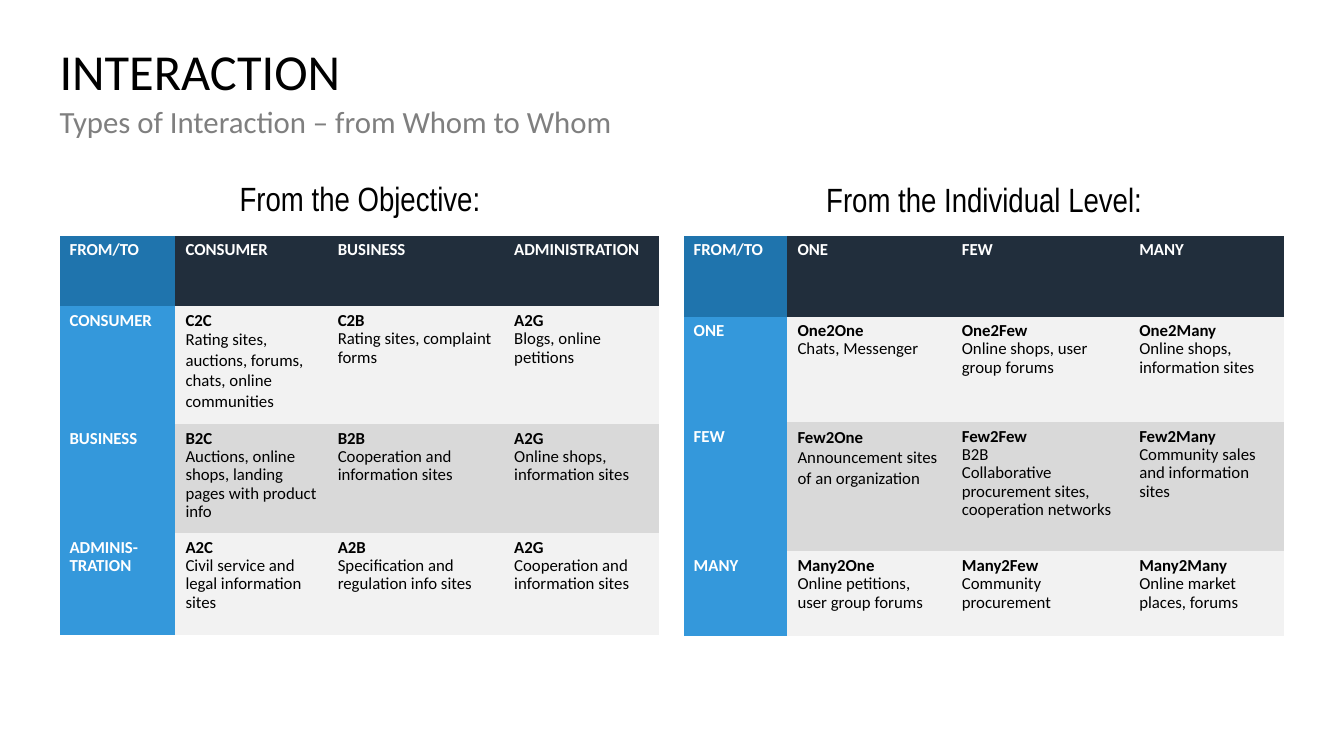
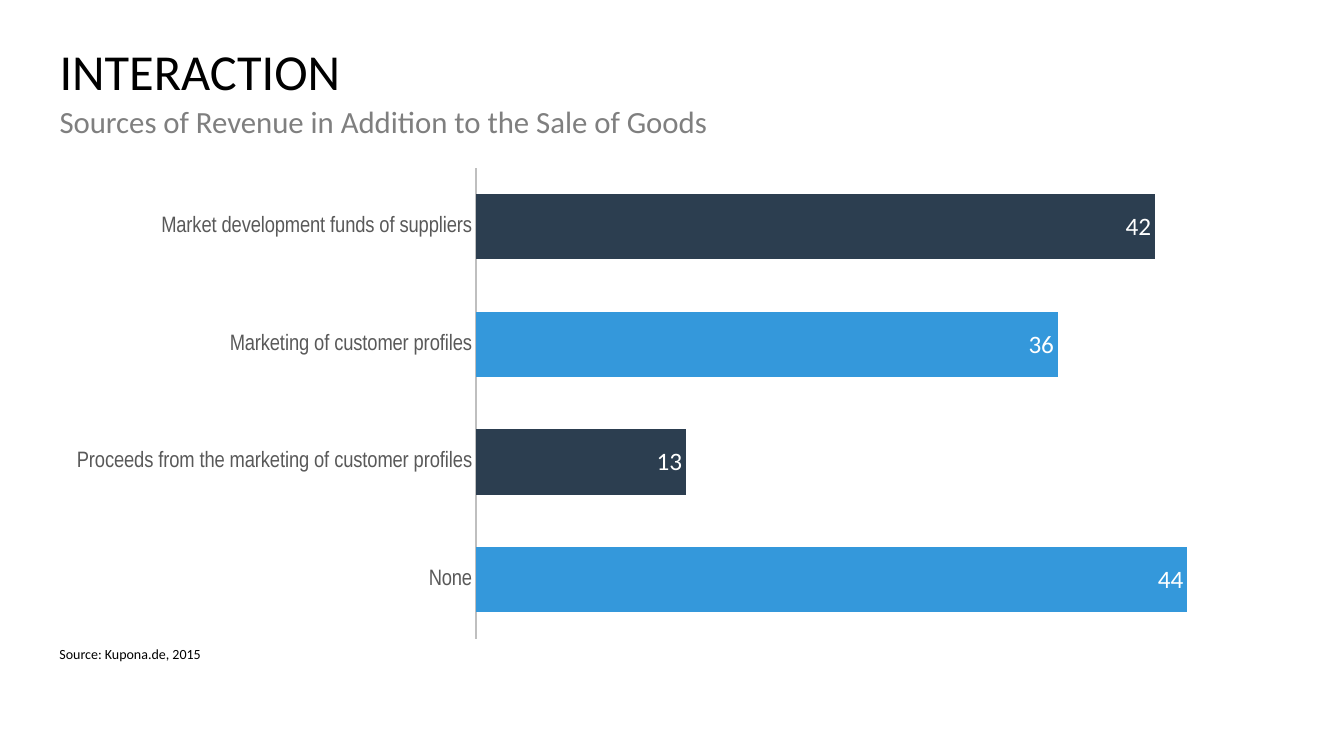
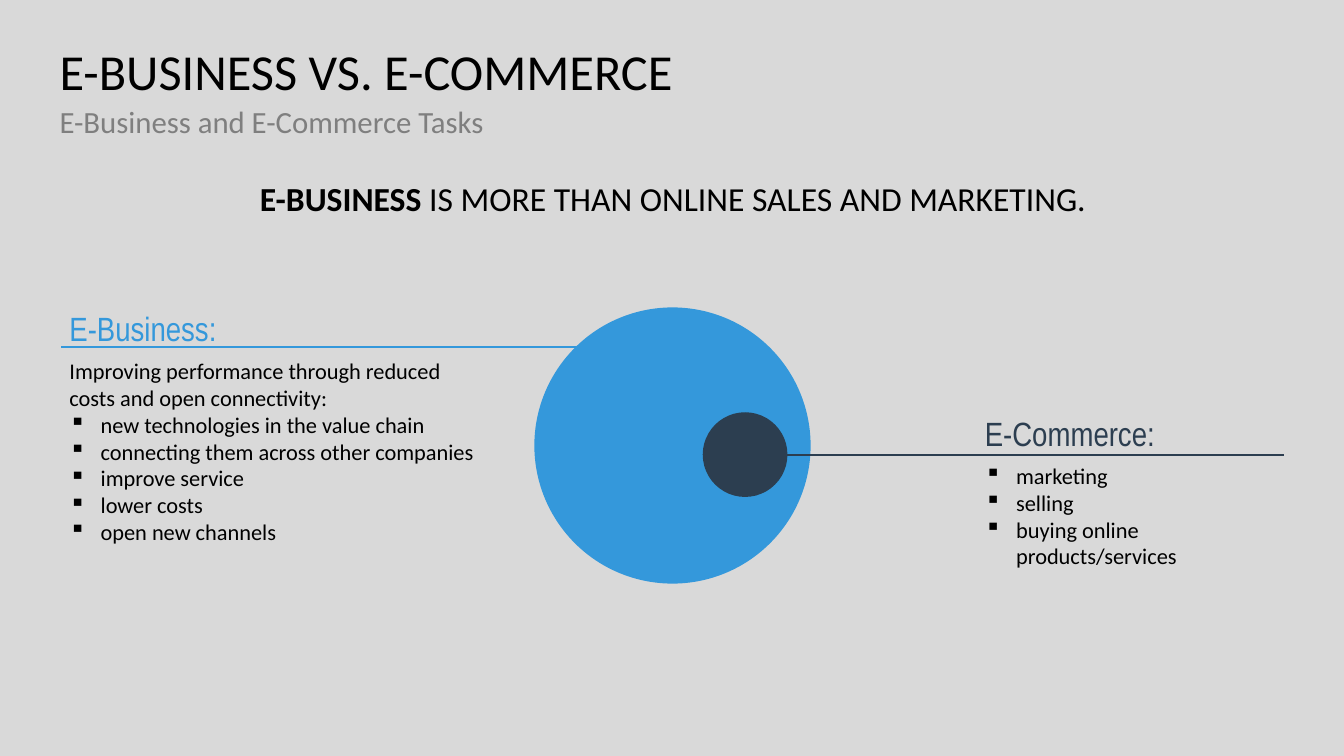
from dataclasses import dataclass
from typing import NamedTuple, Optional

import lxml.etree
import pptx
import pptx.chart.data
import pptx.dml.color
import pptx.enum.chart
import pptx.enum.shapes
import pptx.enum.text
import pptx.oxml
import pptx.oxml.ns
import pptx.util

Inches = pptx.util.Inches
Pt = pptx.util.Pt
qn = pptx.oxml.ns.qn
Align = pptx.enum.text.PP_ALIGN
Anchor = pptx.enum.text.MSO_ANCHOR
Shape = pptx.enum.shapes.MSO_SHAPE


# Theme
@dataclass(frozen=True)
class Theme:
    body_font: str = "Calibri"
    accent_font: str = "Arial Narrow"
    black: str = "000000"
    white: str = "FFFFFF"
    grey: str = "7F7F7F"
    axis_text: str = "595959"
    axis_line: str = "BFBFBF"
    series: str = "A6A6A6"
    light: str = "F2F2F2"
    shade: str = "D9D9D9"
    blue: str = "3498DB"
    deep_blue: str = "1F74AD"
    navy: str = "2C3E50"
    dark_navy: str = "212E3C"
    title: int = 36
    heading: int = 24
    subtitle: int = 22
    value: int = 18
    body: int = 16
    table: int = 12
    source: int = 10
    spacing: float = 0.9
    left: float = 0.59
    width: float = 12.15
    no_grid: str = "{2D5ABB26-0587-4C30-8999-92F81FD0307C}"


THEME = Theme()


class Box(NamedTuple):
    left: float
    top: float
    width: float
    height: float

    def lengths(self) -> list:
        return [Inches(side) for side in self]


class Entry(NamedTuple):
    code: str
    details: str
    code_spacing: float = THEME.spacing
    detail_spacing: float = THEME.spacing


@dataclass(frozen=True)
class Matrix:
    caption: str
    caption_box: Box
    left: float
    columns: list[float]
    rows: list[float]
    targets: list[str]
    entries: dict[str, list[Entry]]


@dataclass(frozen=True)
class Callout:
    heading: str
    color: str
    box: Box
    rule_left: float
    rule_top: float
    tasks: list[str]
    intro: str = ""


# Shared drawing helpers
def rgb(color: str) -> pptx.dml.color.RGBColor:
    return pptx.dml.color.RGBColor.from_string(color)


def style_font(font, size: int, color: str, name: str = THEME.body_font, bold: bool = False) -> None:
    font.size, font.name, font.bold = Pt(size), name, bold
    font.color.rgb = rgb(color)


def write(paragraph, text: str, size: int, color: str = THEME.black,
          name: str = THEME.body_font, bold: bool = False,
          spacing: Optional[float] = THEME.spacing, after: float = 0) -> None:
    paragraph.text = text
    paragraph.line_spacing = spacing
    paragraph.space_after = Pt(after)
    for run in paragraph.runs:
        style_font(run.font, size, color, name, bold)


def set_margins(frame, horizontal: float = 0, vertical: float = 0) -> None:
    frame.word_wrap = True
    frame.margin_left = frame.margin_right = Inches(horizontal)
    frame.margin_top = frame.margin_bottom = Inches(vertical)


def add_text(slide, box: Box, horizontal: float = 0, vertical: float = 0):
    frame = slide.shapes.add_textbox(*box.lengths()).text_frame
    set_margins(frame, horizontal, vertical)
    return frame


def add_filled(shapes, kind, box: Box, color: str):
    shape = shapes.add_shape(kind, *box.lengths())
    shape.shadow.inherit = False
    shape.fill.solid()
    shape.fill.fore_color.rgb = rgb(color)
    shape.line.fill.background()
    return shape


def add_slide(deck, title: str, subtitle: str, background: str = THEME.white):
    slide = deck.slides.add_slide(deck.slide_layouts[5])
    slide.background.fill.solid()
    slide.background.fill.fore_color.rgb = rgb(background)
    heading = slide.shapes.title
    heading.left, heading.top, heading.width, heading.height = Box(
        THEME.left, 0.47, THEME.width, 1.18).lengths()
    frame = heading.text_frame
    set_margins(frame)
    frame.auto_size = pptx.enum.text.MSO_AUTO_SIZE.NONE
    frame.vertical_anchor = Anchor.TOP
    write(frame.paragraphs[0], title, THEME.title)
    frame.paragraphs[0].alignment = Align.LEFT
    below = add_text(slide, Box(THEME.left, 1.06, THEME.width, 0.59))
    write(below.paragraphs[0], subtitle, THEME.subtitle, THEME.grey, after=10)
    return slide


# Interaction matrices
def fill_cell(cell, color: str) -> None:
    cell.fill.solid()
    cell.fill.fore_color.rgb = rgb(color)


def label_cell(cell, text: str, color: str) -> None:
    fill_cell(cell, color)
    write(cell.text_frame.paragraphs[0], text, THEME.table, THEME.white, bold=True)


def entry_cell(cell, entry: Entry, color: str) -> None:
    fill_cell(cell, color)
    frame = cell.text_frame
    write(frame.paragraphs[0], entry.code, THEME.table, bold=True, spacing=entry.code_spacing)
    for detail in entry.details.split("\n"):
        write(frame.add_paragraph(), detail, THEME.table, spacing=entry.detail_spacing)


def add_matrix(slide, matrix: Matrix) -> None:
    caption = add_filled(slide.shapes, Shape.RECTANGLE, matrix.caption_box, THEME.white).text_frame
    set_margins(caption)
    caption.vertical_anchor = Anchor.MIDDLE
    write(caption.paragraphs[0], matrix.caption, THEME.heading, name=THEME.accent_font,
          spacing=0.8, after=10)
    caption.paragraphs[0].alignment = Align.CENTER

    box = Box(matrix.left, 2.34, sum(matrix.columns), sum(matrix.rows))
    table = slide.shapes.add_table(
        len(matrix.rows), len(matrix.columns), *box.lengths()).table
    table.first_row = table.horz_banding = False
    table._tbl.tblPr.find(qn("a:tableStyleId")).text = THEME.no_grid
    for column, width in zip(table.columns, matrix.columns):
        column.width = Inches(width)
    for row, height in zip(table.rows, matrix.rows):
        row.height = Inches(height)

    label_cell(table.cell(0, 0), "FROM/TO", THEME.deep_blue)
    for column, target in enumerate(matrix.targets, start=1):
        label_cell(table.cell(0, column), target, THEME.dark_navy)
    for row, (sender, entries) in enumerate(matrix.entries.items(), start=1):
        label_cell(table.cell(row, 0), sender, THEME.blue)
        for column, entry in enumerate(entries, start=1):
            entry_cell(table.cell(row, column), entry, THEME.light if row % 2 else THEME.shade)


OBJECTIVE = Matrix(
    "From the Objective:", Box(THEME.left, 1.56, 5.96, 0.88), THEME.left,
    [1.15, 1.51, 1.75, 1.54], [0.7, 1.17, 1.08, 1.01],
    ["CONSUMER", "BUSINESS", "ADMINISTRATION"],
    {
        "CONSUMER": [
            Entry("C2C", "Rating sites, auctions, forums, chats, online communities",
                  detail_spacing=1.0),
            Entry("C2B", "Rating sites, complaint forms"),
            Entry("A2G", "Blogs, online petitions"),
        ],
        "BUSINESS": [
            Entry("B2C", "Auctions, online shops, landing pages with product info"),
            Entry("B2B", "Cooperation and information sites"),
            Entry("A2G", "Online shops, information sites"),
        ],
        "ADMINIS-TRATION": [
            Entry("A2C", "Civil service and legal information sites"),
            Entry("A2B", "Specification and regulation info sites"),
            Entry("A2G", "Cooperation and information sites"),
        ],
    })

INDIVIDUAL = Matrix(
    "From the Individual Level:", Box(6.78, 1.59, 5.96, 0.85), 6.78,
    [1.03, 1.63, 1.76, 1.54], [0.8, 1.05, 1.28, 0.84],
    ["ONE", "FEW", "MANY"],
    {
        "ONE": [
            Entry("One2One", "Chats, Messenger"),
            Entry("One2Few", "Online shops, user group forums"),
            Entry("One2Many", "Online shops, information sites"),
        ],
        "FEW": [
            Entry("Few2One", "Announcement sites of an organization", 1.0, 1.0),
            Entry("Few2Few", "B2B\nCollaborative procurement sites, cooperation networks"),
            Entry("Few2Many", "Community sales and information sites"),
        ],
        "MANY": [
            Entry("Many2One", "Online petitions, user group forums"),
            Entry("Many2Few", "Community procurement"),
            Entry("Many2Many", "Online market places, forums"),
        ],
    })


def build_interaction_types(deck) -> None:
    slide = add_slide(deck, "INTERACTION", "Types of Interaction – from Whom to Whom")
    for matrix in (INDIVIDUAL, OBJECTIVE):
        add_matrix(slide, matrix)


# Revenue chart
REVENUE = {
    "None": 44,
    "Proceeds from the marketing of customer profiles": 13,
    "Marketing of customer profiles": 36,
    "Market development funds of suppliers": 42,
}


def place_plot(chart, left: float, top: float, width: float, height: float) -> None:
    plot_area = chart._chartSpace.chart.plotArea
    for old in plot_area.findall(qn("c:layout")):
        plot_area.remove(old)
    layout = lxml.etree.Element(qn("c:layout"))
    manual = lxml.etree.SubElement(layout, qn("c:manualLayout"))
    settings = {"layoutTarget": "inner", "xMode": "edge", "yMode": "edge",
                "x": left, "y": top, "w": width, "h": height}
    for tag, setting in settings.items():
        lxml.etree.SubElement(manual, qn(f"c:{tag}")).set("val", str(setting))
    plot_area.insert(0, layout)


def build_revenue_sources(deck) -> None:
    slide = add_slide(deck, "INTERACTION", "Sources of Revenue in Addition to the Sale of Goods")
    source = add_text(slide, Box(THEME.left, 6.42, 3.04, 0.23))
    write(source.paragraphs[0], "Source: Kupona.de, 2015", THEME.source, after=10)

    revenue = pptx.chart.data.CategoryChartData()
    revenue.categories = list(REVENUE)
    revenue.add_series("Series 1", list(REVENUE.values()))
    chart = slide.shapes.add_chart(
        pptx.enum.chart.XL_CHART_TYPE.BAR_STACKED,
        *Box(THEME.left, 1.65, THEME.width, 4.7).lengths(), revenue).chart
    style_font(chart.font, THEME.value, THEME.black)
    chart.has_legend = chart.has_title = False
    place_plot(chart, 0.34, 0, 0.66, 1)

    categories = chart.category_axis
    categories.major_tick_mark = pptx.enum.chart.XL_TICK_MARK.NONE
    categories.has_major_gridlines = False
    categories.format.line.color.rgb = rgb(THEME.axis_line)
    categories.format.line.width = Pt(2)
    style_font(categories.tick_labels.font, THEME.body, THEME.axis_text, THEME.accent_font)
    values = chart.value_axis
    values.visible = values.has_major_gridlines = False
    values.minimum_scale, values.maximum_scale = 0, 50

    plot = chart.plots[0]
    plot.gap_width, plot.overlap, plot.vary_by_categories = 80, 100, False
    bars = plot.series[0]
    bars.format.fill.solid()
    bars.format.fill.fore_color.rgb = rgb(THEME.series)
    for index in range(len(REVENUE)):
        fill = bars.points[index].format.fill
        fill.solid()
        fill.fore_color.rgb = rgb(THEME.navy if index % 2 else THEME.blue)
    labels = bars.data_labels
    labels.show_value = True
    labels.position = pptx.enum.chart.XL_LABEL_POSITION.INSIDE_END
    style_font(labels.font, THEME.value, THEME.white)


# E-business and e-commerce
def add_bullet(paragraph) -> None:
    properties = paragraph._p.get_or_add_pPr()
    properties.set("marL", str(Inches(0.31)))
    properties.set("indent", str(-Inches(0.31)))
    lxml.etree.SubElement(properties, qn("a:buChar")).set("char", "▪")


def add_callout(slide, callout: Callout) -> None:
    frame = add_text(slide, callout.box, 0.1, 0.05)
    write(frame.paragraphs[0], callout.heading, THEME.heading, callout.color,
          THEME.accent_font, after=6)
    if callout.intro:
        write(frame.add_paragraph(), callout.intro, THEME.body, spacing=1.0)
    for task in callout.tasks:
        paragraph = frame.add_paragraph()
        add_bullet(paragraph)
        write(paragraph, task, THEME.body, spacing=1.0)

    rule = slide.shapes.add_connector(
        pptx.enum.shapes.MSO_CONNECTOR.STRAIGHT,
        Inches(callout.rule_left), Inches(callout.rule_top),
        Inches(callout.rule_left + 5.15), Inches(callout.rule_top))
    rule.line.color.rgb = rgb(callout.color)
    rule.line.width = Pt(1.5)
    lxml.etree.SubElement(rule._element.spPr, qn("a:effectLst"))


CALLOUTS = [
    Callout("E-Business:", THEME.blue, Box(THEME.left, 3.05, 4.35, 2.43), 0.61, 3.44,
            ["new technologies in the value chain", "connecting them across other companies",
             "improve service", "lower costs", "open new channels"],
            "Improving performance through reduced costs and open connectivity:"),
    Callout("E-Commerce:", THEME.navy, Box(9.67, 4.09, 3.07, 2.97), 7.59, 4.51,
            ["marketing", "selling", "buying online products/services"]),
]


def build_business_vs_commerce(deck) -> None:
    slide = add_slide(deck, "E-BUSINESS VS. E-COMMERCE", "E-Business and E-Commerce Tasks",
                      THEME.shade)
    frame = add_text(slide, Box(0.61, 1.65, 12.13, 0.68), 0.59, 0.05)
    frame.vertical_anchor = Anchor.MIDDLE
    statement = frame.paragraphs[0]
    write(statement, "E-BUSINESS ", THEME.heading, bold=True)
    statement.alignment = Align.CENTER
    claim = statement.add_run()
    claim.text = "IS MORE THAN ONLINE SALES AND MARKETING."
    style_font(claim.font, THEME.heading, THEME.black)

    circles = slide.shapes.add_group_shape().shapes
    add_filled(circles, Shape.OVAL, Box(5.3, 3.05, 2.74, 2.74), THEME.blue)
    add_filled(circles, Shape.OVAL, Box(6.97, 4.09, 0.84, 0.84), THEME.navy)
    for callout in CALLOUTS:
        add_callout(slide, callout)


def main() -> None:
    deck = pptx.Presentation()
    deck.slide_width, deck.slide_height = Inches(13.33), Inches(7.5)
    build_interaction_types(deck)
    build_revenue_sources(deck)
    build_business_vs_commerce(deck)
    deck.save("out.pptx")


if __name__ == "__main__":
    main()
